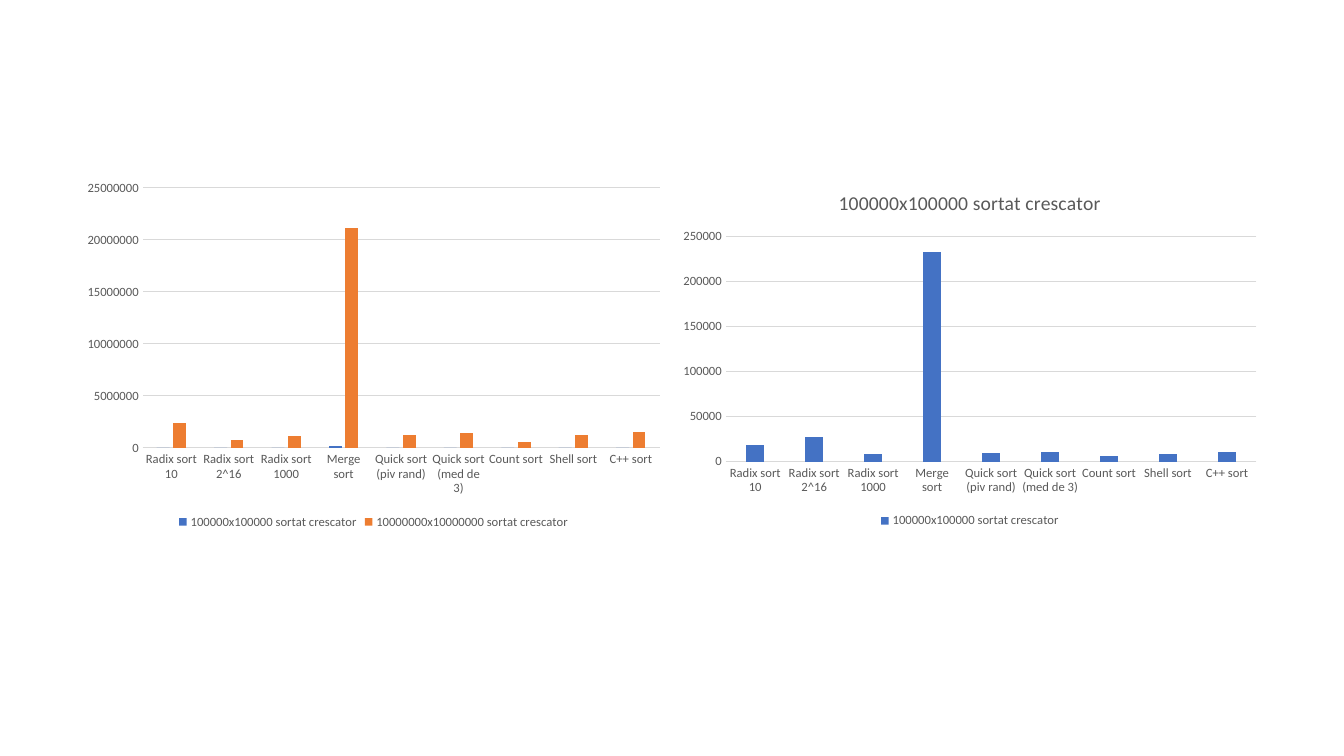
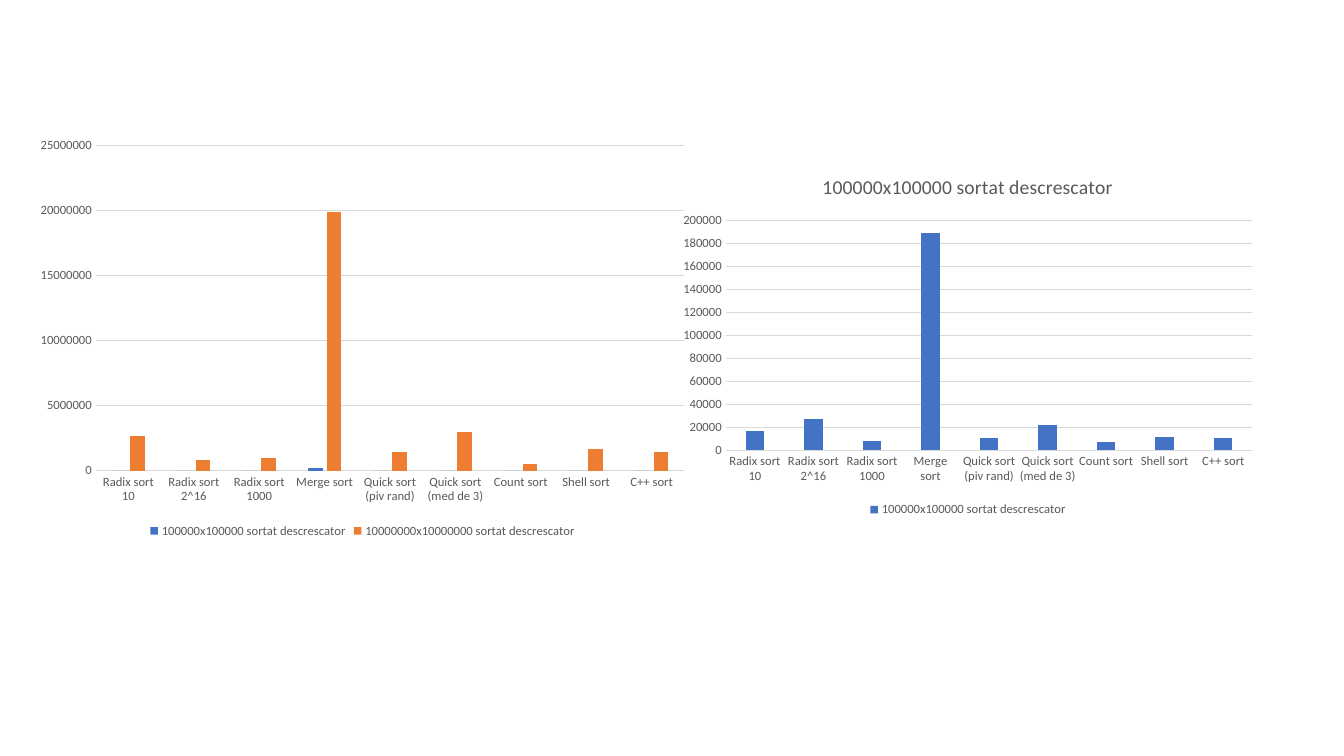
from pptx import Presentation
from pptx.chart.data import CategoryChartData
from pptx.dml.color import RGBColor
from pptx.enum.chart import XL_CHART_TYPE as ChartType
from pptx.enum.chart import XL_LEGEND_POSITION as LegendPosition
from pptx.enum.chart import XL_TICK_MARK as TickMark
from pptx.util import Inches, Pt

COLORS = {"text": "595959", "grid": "D9D9D9", "base": "000000",
          "small": "4472C4", "large": "ED7D31"}
FONT = "Calibri"
SIZES = {"base": 10, "label": 9, "title": 14}

# Content: running times of each algorithm for two input sizes
ALGORITHMS = ["Radix sort 10", "Radix sort 2^16", "Radix sort 1000", "Merge sort",
              "Quick sort (piv rand)", "Quick sort (med de 3)", "Count sort",
              "Shell sort", "C++ sort"]
INPUTS = {"small": "100000x100000", "large": "10000000x10000000"}
TIMES = {
    "sortat crescator": {
        "small": [18000, 27000, 9000, 233000, 10000, 11000, 6000, 8000, 11000],
        "large": [2400000, 800000, 1100000, 21100000, 1200000, 1400000,
                  600000, 1200000, 1500000],
    },
    "sortat descrescator": {
        "small": [17000, 27000, 8000, 189000, 11000, 22000, 7000, 12000, 11000],
        "large": [2700000, 800000, 1000000, 19900000, 1400000, 3000000,
                  500000, 1700000, 1400000],
    },
}

# Each slide: charts from back to front as (inputs, place, axis maximum, axis step)
SLIDES = [
    ("sortat crescator", [
        (["small", "large"], (0.75, 1.72, 5.91, 3.57), 25000000, 5000000),
        (["small"], (6.66, 1.72, 5.92, 3.56), 250000, 50000),
    ]),
    ("sortat descrescator", [
        (["small"], (6.66, 1.56, 5.88, 3.61), 200000, 20000),
        (["small", "large"], (0.27, 1.29, 6.65, 4.09), 25000000, 5000000),
    ]),
]
# Decimal places kept, by number of series: thousands alone, hundred thousands together
ROUNDING = {1: -3, 2: -5}


def color(name):
    return RGBColor.from_string(COLORS[name])


def style_font(font, size, color_name="text"):
    values = {"name": FONT, "size": Pt(SIZES[size]), "bold": False}
    for attribute, value in values.items():
        setattr(font, attribute, value)
    font.color.rgb = color(color_name)


def style_line(line):
    line.color.rgb = color("grid")
    line.width = Pt(0.75)


def style_axes(chart, maximum, step):
    for axis in (chart.category_axis, chart.value_axis):
        axis.major_tick_mark = axis.minor_tick_mark = TickMark.NONE
        style_font(axis.tick_labels.font, "label")
    style_line(chart.category_axis.format.line)
    value_axis = chart.value_axis
    value_axis.format.line.fill.background()
    value_axis.has_major_gridlines = True
    style_line(value_axis.major_gridlines.format.line)
    scale = {"minimum_scale": 0, "maximum_scale": maximum, "major_unit": step}
    for attribute, value in scale.items():
        setattr(value_axis, attribute, value)


def add_times_chart(page, order, inputs, place, maximum, step):
    data = CategoryChartData()
    data.categories = ALGORITHMS
    names = [f"{INPUTS[key]} {order}" for key in inputs]
    digits = ROUNDING[len(inputs)]
    for key, name in zip(inputs, names):
        data.add_series(name, [round(time, digits) for time in TIMES[order][key]])
    frame = page.shapes.add_chart(ChartType.COLUMN_CLUSTERED, *map(Inches, place), data)
    chart = frame.chart
    style_font(chart.font, "base", "base")

    # Columns
    plot = chart.plots[0]
    plot.gap_width, plot.overlap, plot.vary_by_categories = 219, -27, False
    for key, series in zip(inputs, plot.series):
        series.format.fill.solid()
        series.format.fill.fore_color.rgb = color(key)
        series.invert_if_negative = False
    style_axes(chart, maximum, step)

    # Legend, and a title when there is only one series
    chart.has_legend = True
    chart.legend.position = LegendPosition.BOTTOM
    chart.legend.include_in_layout = False
    style_font(chart.legend.font, "label")
    chart.has_title = len(names) == 1
    if chart.has_title:
        para = chart.chart_title.text_frame.paragraphs[0]
        span = para.add_run()
        span.text = names[0]
        style_font(span.font, "title")
        chart.chart_title.include_in_layout = False


def main():
    deck = Presentation()
    deck.slide_width, deck.slide_height = Inches(13.33), Inches(7.5)
    for order, charts in SLIDES:
        page = deck.slides.add_slide(deck.slide_layouts[6])
        for chart in charts:
            add_times_chart(page, order, *chart)
    deck.save("out.pptx")


if __name__ == "__main__":
    main()
